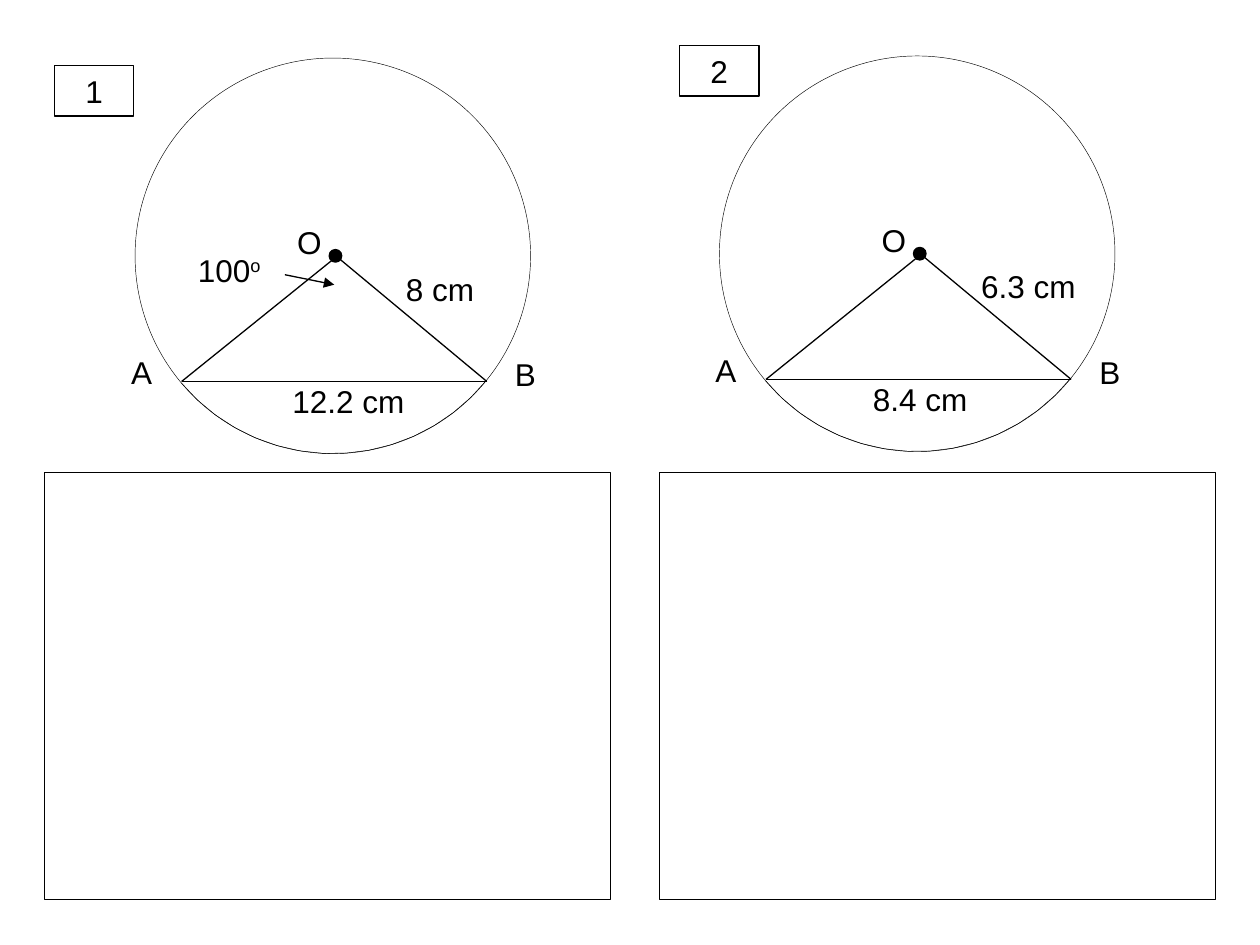
from dataclasses import dataclass
from math import cos, radians, sin

from lxml.etree import SubElement
from pptx import Presentation
from pptx.dml.color import RGBColor
from pptx.enum.shapes import MSO_CONNECTOR, MSO_SHAPE
from pptx.enum.text import MSO_ANCHOR, PP_ALIGN
from pptx.oxml.ns import qn
from pptx.util import Pt


@dataclass(frozen=True)
class Theme:
    ink: RGBColor = RGBColor(0, 0, 0)
    paper: RGBColor = RGBColor(255, 255, 255)
    font: str = "Arial"
    size: float = 18
    line: float = 0.75
    hairline: float = 0.25


@dataclass(frozen=True)
class Problem:
    center: tuple
    radius_text: str
    radius_left: float
    chord_text: str
    chord_left: float
    chord_width: float
    tinted: bool = False


THEME = Theme()
RADIUS = 113
DOT = 7.2
LABEL_HEIGHT = 28.8
LETTER_WIDTH = 28.8
MEASURE_WIDTH = 68.4

# Offsets from the centre of the circle
APEX = (2.2, 0.4)
A = (-86.4, 71.8)
B = (88, 71.8)
ARC_START, ARC_END, ARC_STEPS = 140, 39, 15
LETTERS = {"O": (-27.4, -22.3), "A": (-122.4, 52.2), "B": (97, 53.3)}

PROBLEMS = [
    Problem((190.2, 146.2), "8 cm", 34.6, "12.2 cm", -30.2, 89.3),
    Problem((524.1, 145), "6.3 cm", 29.5, "8.4 cm", -32.4, MEASURE_WIDTH, True),
]
NUMBER_CORNERS = [(31.1, 37.5), (388.3, 26.2)]
ANSWER_SPANS = [(25.4, 323.3), (377, 317.5)]


def shift(origin, offset):
    return origin[0] + offset[0], origin[1] + offset[1]


def draw_outline(shape, weight):
    shape.shadow.inherit = False
    shape.fill.background()
    shape.line.color.rgb = THEME.ink
    shape.line.width = Pt(weight)


def add_outline(page, kind, left, top, width, height, weight=THEME.line):
    shape = page.shapes.add_shape(kind, Pt(left), Pt(top), Pt(width), Pt(height))
    draw_outline(shape, weight)
    return shape


def add_circle(page, center, radius, weight):
    left, top = shift(center, (-radius, -radius))
    return add_outline(page, MSO_SHAPE.OVAL, left, top, 2 * radius, 2 * radius, weight)


def fill_shape(shape, color):
    shape.fill.solid()
    shape.fill.fore_color.rgb = color


def make_half_transparent(shape):
    color = shape._element.spPr.find(qn("a:solidFill")).find(qn("a:srgbClr"))
    SubElement(color, qn("a:alpha"), val="50000")


def add_arc(page, center):
    """Trace the part of the circle below the chord."""
    step = (ARC_END - ARC_START) / ARC_STEPS
    angles = [radians(ARC_START + step * index) for index in range(ARC_STEPS + 1)]
    points = [shift(center, (RADIUS * cos(a), RADIUS * sin(a))) for a in angles]
    points = [(Pt(x), Pt(y)) for x, y in points]
    builder = page.shapes.build_freeform(*points[0])
    builder.add_line_segments(points[1:], close=False)
    draw_outline(builder.convert_to_shape(), THEME.hairline)


def add_line(page, start, end, arrow=False):
    line = page.shapes.add_connector(
        MSO_CONNECTOR.STRAIGHT, *(Pt(value) for value in (*start, *end)))
    line.line.color.rgb = THEME.ink
    line.line.width = Pt(THEME.line)
    properties = line._element.spPr
    if arrow:
        SubElement(properties.find(qn("a:ln")), qn("a:tailEnd"), type="triangle")
    SubElement(properties, qn("a:effectLst"))


def style_text(frame, align):
    frame.word_wrap = True
    frame.vertical_anchor = MSO_ANCHOR.TOP
    para = frame.paragraphs[0]
    para.alignment = align
    for span in para.runs:
        span.font.name = THEME.font
        span.font.size = Pt(THEME.size)
        span.font.color.rgb = THEME.ink


def add_label(page, text, corner, width, superscript=""):
    left, top = corner
    box = page.shapes.add_textbox(Pt(left), Pt(top), Pt(width), Pt(LABEL_HEIGHT))
    frame = box.text_frame
    frame.text = text
    if superscript:
        span = frame.paragraphs[0].add_run()
        span.text = superscript
        span.font._element.set("baseline", "30000")
    style_text(frame, PP_ALIGN.LEFT)


def add_figure(page, problem):
    center = problem.center
    circle = add_circle(page, center, RADIUS, THEME.hairline)
    if problem.tinted:
        fill_shape(circle, THEME.paper)
        make_half_transparent(circle)
    add_arc(page, center)
    dot = add_circle(page, shift(center, (1.5, 0)), DOT / 2, THEME.line)
    fill_shape(dot, THEME.ink)
    for start, end in ((APEX, A), (APEX, B), (A, B)):
        add_line(page, shift(center, start), shift(center, end))
    for letter, offset in LETTERS.items():
        add_label(page, letter, shift(center, offset), LETTER_WIDTH)
    add_label(page, problem.radius_text,
              shift(center, (problem.radius_left, 4.3)), MEASURE_WIDTH)
    add_label(page, problem.chord_text,
              shift(center, (problem.chord_left, 68.6)), problem.chord_width)


def add_angle(page, center, degrees):
    add_label(page, degrees, shift(center, (-84.2, -6.5)), MEASURE_WIDTH, "o")
    add_line(page, shift(center, (-27.4, 10.8)), shift(center, (0.8, 16.5)), arrow=True)


def add_number(page, number, corner):
    box = add_outline(page, MSO_SHAPE.RECTANGLE, *corner, 45.4, LABEL_HEIGHT)
    box.text_frame.text = str(number)
    style_text(box.text_frame, PP_ALIGN.CENTER)


def main():
    deck = Presentation()
    deck.slide_width, deck.slide_height = Pt(720), Pt(540)
    page = deck.slides.add_slide(deck.slide_layouts[6])
    for problem in PROBLEMS:
        add_figure(page, problem)
    add_angle(page, PROBLEMS[0].center, "100")
    for left, width in ANSWER_SPANS:
        add_outline(page, MSO_SHAPE.RECTANGLE, left, 270, width, 244)
    for number, corner in enumerate(NUMBER_CORNERS, start=1):
        add_number(page, number, corner)
    deck.save("out.pptx")


if __name__ == "__main__":
    main()
